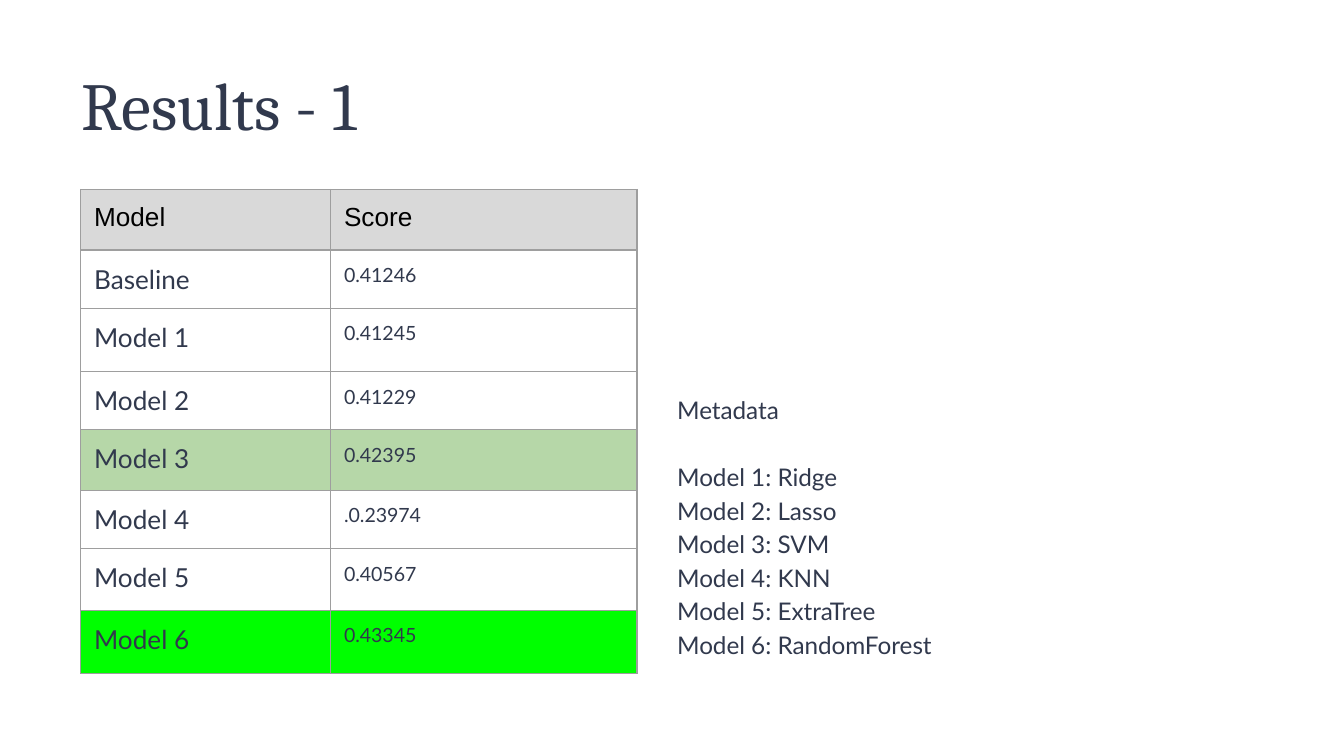
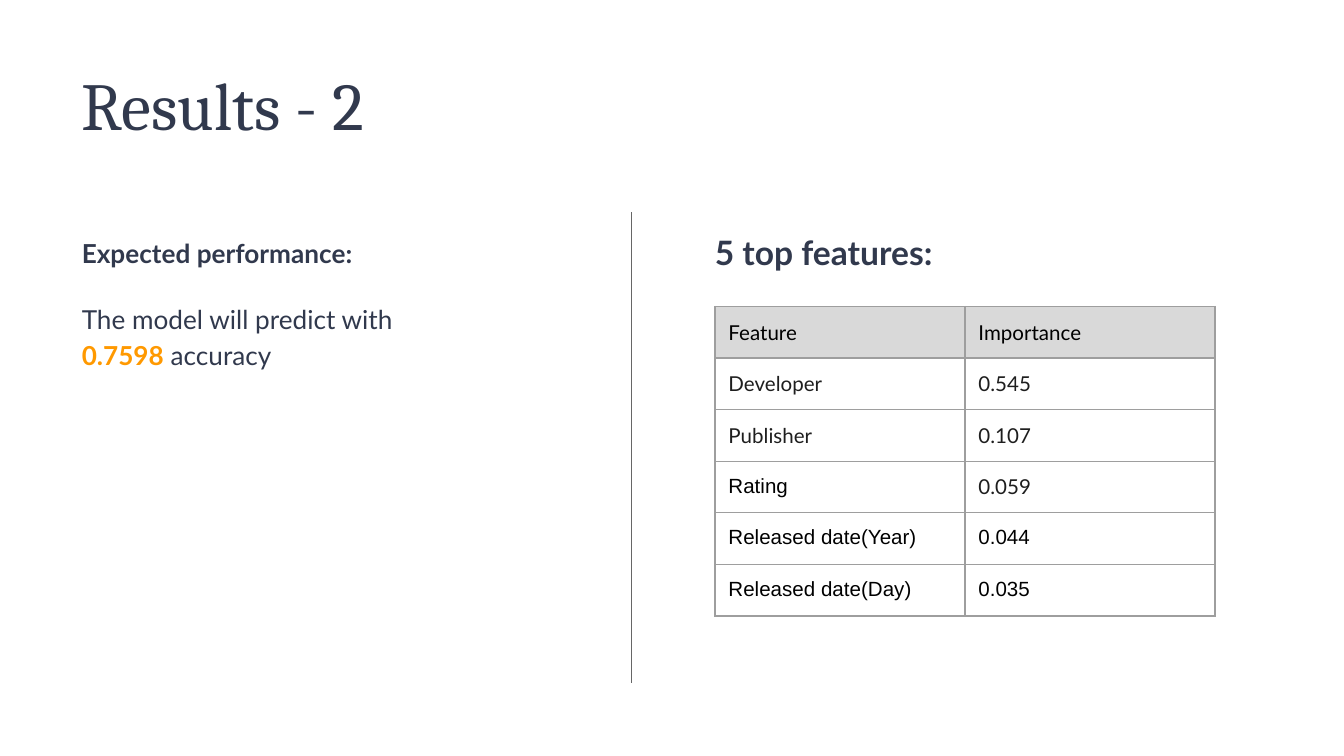
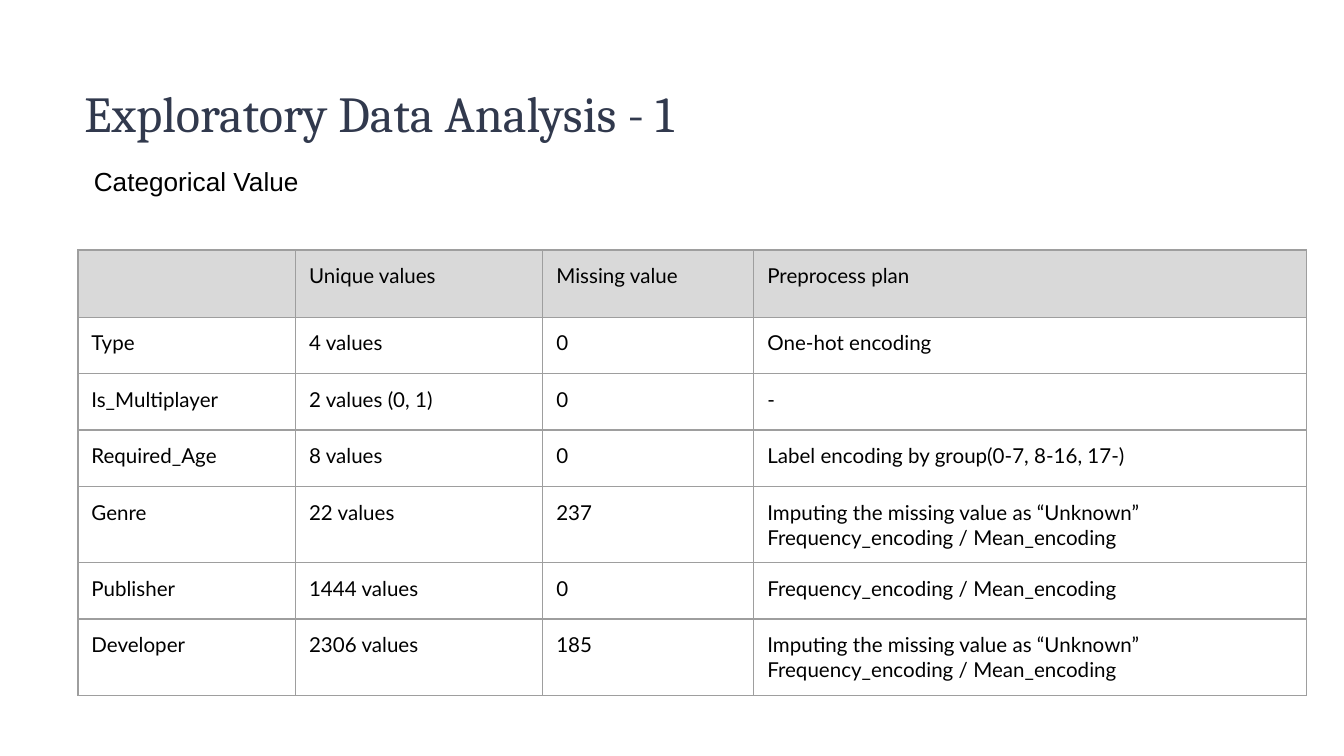
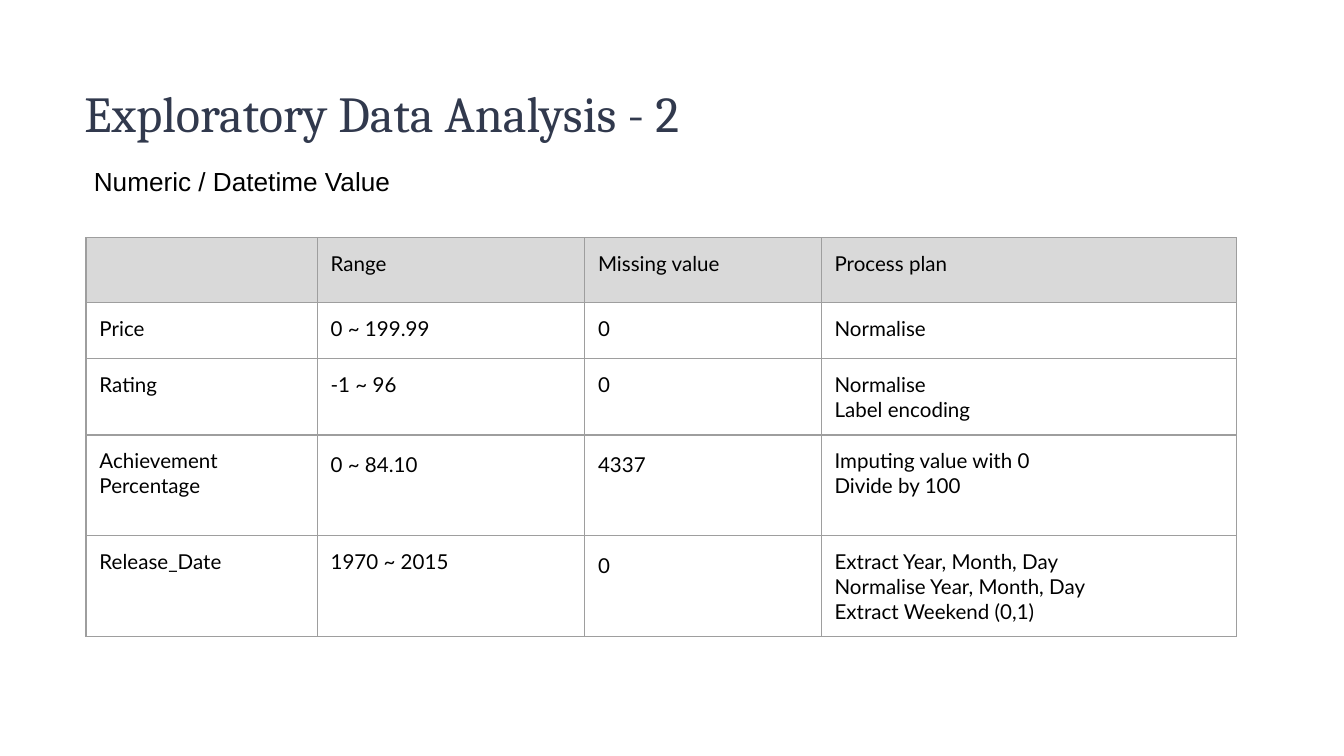
from dataclasses import dataclass
from itertools import cycle

from lxml import etree
from pptx import Presentation
from pptx.dml.color import RGBColor as Rgb
from pptx.enum.shapes import MSO_CONNECTOR as Link
from pptx.oxml.ns import qn
from pptx.util import Inches, Pt


# Theme: colours, fonts and type sizes
@dataclass(frozen=True)
class Theme:
    navy: str = "31394D"
    black: str = "000000"
    ink: str = "1E1E1E"
    orange: str = "FF9900"
    rule: str = "666666"
    edge: str = "9E9E9E"
    head: str = "D9D9D9"
    sage: str = "B6D7A8"
    lime: str = "00FF00"
    serif: str = "Cambria"
    sans: str = "Lato"
    plain: str = "Arial"
    large: float = 36
    title: float = 27
    lead: float = 18
    body: float = 14
    note: float = 13
    cell: float = 11
    score: float = 10.5
    line: float = 0.75
    pad: float = 0.1


T = Theme()


@dataclass(frozen=True)
class Pen:
    size: float
    font: str = T.sans
    color: str = T.navy
    bold: bool = False
    space: float = 1.0


@dataclass(frozen=True)
class Row:
    height: float
    texts: tuple[str, ...]
    pens: tuple[Pen, ...]
    fill: str = ""


@dataclass(frozen=True)
class Grid:
    left: float
    top: float
    cols: tuple[float, ...]
    rows: tuple[Row, ...]


@dataclass(frozen=True)
class Box:
    left: float
    top: float
    width: float
    height: float
    text: str
    pen: Pen


LARGE = Pen(T.large, T.serif)
TITLE = Pen(T.title, T.serif)
PLAIN = Pen(T.body, T.plain, T.black)
BODY = Pen(T.body, space=1.15)
BOLD = Pen(T.body, bold=True, space=1.15)
LEAD = Pen(T.lead, bold=True, space=1.15)
NOTE = Pen(T.note, space=1.15)
SCORE = (Pen(T.body), Pen(T.score))
CELL = Pen(T.cell, color=T.black)
LOOSE = Pen(T.cell, color=T.black, space=1.15)
DARK = Pen(T.cell, color=T.ink)
ARIAL = Pen(T.cell, T.plain, T.black)


# Drawing helpers
def style(run, pen: Pen) -> None:
    font = run.font
    font.size, font.name, font.bold = Pt(pen.size), pen.font, pen.bold
    font.color.rgb = Rgb.from_string(pen.color)


def write(frame, text: str, pen: Pen) -> None:
    frame.text = text
    for par in frame.paragraphs:
        par.line_spacing = pen.space
        for run in par.runs:
            style(run, pen)
        if not text:
            etree.SubElement(par._p, qn("a:endParaRPr"), sz=str(int(pen.size * 100)))


def add_box(slide, box: Box):
    shape = slide.shapes.add_textbox(
        Inches(box.left), Inches(box.top), Inches(box.width), Inches(box.height))
    frame = shape.text_frame
    frame.word_wrap = True
    frame.margin_left = frame.margin_right = Inches(T.pad)
    frame.margin_top = frame.margin_bottom = Inches(T.pad)
    write(frame, box.text, box.pen)
    return frame


def add_edges(cell) -> None:
    props = cell._tc.get_or_add_tcPr()
    for i, side in enumerate(("lnL", "lnR", "lnT", "lnB")):
        line = etree.Element(qn(f"a:{side}"), w=str(Pt(T.line)))
        fill = etree.SubElement(line, qn("a:solidFill"))
        etree.SubElement(fill, qn("a:srgbClr"), val=T.edge)
        props.insert(i, line)


def add_grid(slide, grid: Grid) -> None:
    table = slide.shapes.add_table(
        len(grid.rows), len(grid.cols), Inches(grid.left), Inches(grid.top),
        Inches(sum(grid.cols)), Inches(sum(r.height for r in grid.rows))).table
    table.first_row = table.horz_banding = False
    for col, width in zip(table.columns, grid.cols):
        col.width = Inches(width)
    for line, row in zip(table.rows, grid.rows):
        line.height = Inches(row.height)
        for cell, text, pen in zip(line.cells, row.texts, cycle(row.pens)):
            cell.margin_left = cell.margin_right = Inches(T.pad)
            cell.margin_top = cell.margin_bottom = Inches(T.pad)
            write(cell.text_frame, text, pen)
            if row.fill:
                cell.fill.solid()
                cell.fill.fore_color.rgb = Rgb.from_string(row.fill)
            else:
                cell.fill.background()
            add_edges(cell)


def add_rule(slide, x: float, top: float, end: float) -> None:
    rule = slide.shapes.add_connector(
        Link.STRAIGHT, Inches(x), Inches(top), Inches(x), Inches(end))
    rule.line.color.rgb = Rgb.from_string(T.rule)
    rule.line.width = Pt(T.line)
    etree.SubElement(rule._element.spPr, qn("a:effectLst"))


def add_page(deck):
    return deck.slides.add_slide(deck.slide_layouts[6])


def result_page(deck, title: str):
    slide = add_page(deck)
    add_box(slide, Box(0.51, 0.37, 5.68, 0.84, title, LARGE))
    return slide


def data_page(deck, title: str, topic: str, grid: Grid) -> None:
    slide = add_page(deck)
    add_box(slide, Box(0.53, 0.51, 5.68, 0.84, title, TITLE))
    add_box(slide, Box(0.6, 1.13, 3.1, 0.44, topic, PLAIN))
    add_grid(slide, grid)


# Table content
SCORES = Grid(0.6, 1.41, (1.86, 2.28), (
    Row(0.45, ("Model", "Score"), (PLAIN,), T.head),
    Row(0.39, ("Baseline", "0.41246"), SCORE),
    Row(0.47, ("Model 1", "0.41245"), SCORE),
    Row(0.43, ("Model 2", "0.41229"), SCORE),
    Row(0.45, ("Model 3", "0.42395"), SCORE, T.sage),
    Row(0.4, ("Model 4", ".0.23974"), SCORE),
    Row(0.46, ("Model 5", "0.40567"), SCORE),
    Row(0.47, ("Model 6", "0.43345"), SCORE, T.lime),
))

FEATURES = Grid(5.32, 2.28, (1.86, 1.86), (
    Row(0.21, ("Feature", "Importance"), (CELL,), T.head),
    Row(0.21, ("Developer", "0.545"), (DARK,)),
    Row(0.21, ("Publisher", "0.107"), (DARK,)),
    Row(0.21, ("Rating", "0.059"), (ARIAL, DARK)),
    Row(0.21, ("Released date(Year)", "0.044"), (ARIAL,)),
    Row(0.21, ("Released date(Day)", "0.035"), (ARIAL,)),
))

IMPUTE = "Imputing the missing value as “Unknown”"
ENCODE = "Frequency_encoding / Mean_encoding"

GROUPS = Grid(0.58, 1.86, (1.62, 1.84, 1.57, 4.11), (
    Row(0.5, ("", "Unique values", "Missing value", "Preprocess plan"),
        (CELL,), T.head),
    Row(0.42, ("Type", "4 values", "0", "One-hot encoding"), (CELL,)),
    Row(0.42, ("Is_Multiplayer", "2 values (0, 1)", "0", "-"), (CELL,)),
    Row(0.42, ("Required_Age", "8 values", "0",
               "Label encoding by group(0-7, 8-16, 17-)"), (CELL,)),
    Row(0.52, ("Genre", "22 values", "237", f"{IMPUTE}\v{ENCODE}"), (CELL,)),
    Row(0.42, ("Publisher", "1444 values", "0", ENCODE), (CELL,)),
    Row(0.52, ("Developer", "2306 values", "185", f"{IMPUTE}\n{ENCODE}"), (CELL,)),
))

RANGES = Grid(0.64, 1.77, (1.72, 1.99, 1.76, 3.09), (
    Row(0.48, ("", "Range", "Missing value", "Process plan"), (CELL,), T.head),
    Row(0.42, ("Price", "0 ~ 199.99", "0", "Normalise"), (CELL,)),
    Row(0.42, ("Rating", "-1 ~ 96", "0", "Normalise\vLabel encoding"), (CELL,)),
    Row(0.75, ("Achievement Percentage", "0 ~ 84.10", "4337",
               "Imputing value with 0\nDivide by 100"),
        (CELL, LOOSE, LOOSE, CELL)),
    Row(0.75, ("Release_Date", "1970 ~ 2015", "0",
               "Extract Year, Month, Day\nNormalise Year, Month, Day\n"
               "Extract Weekend (0,1)"),
        (CELL, CELL, LOOSE, CELL)),
))

MODELS = ("Ridge", "Lasso", "SVM", "KNN", "ExtraTree", "RandomForest")


# Slides
def score_slide(deck) -> None:
    slide = result_page(deck, "Results - 1")
    names = "\v".join(f"Model {i}: {name}" for i, name in enumerate(MODELS, 1))
    frame = add_box(slide, Box(4.94, 2.81, 3.18, 2.18, f"Metadata\n{names}", NOTE))
    frame.paragraphs[0].space_after = Pt(18)
    add_grid(slide, SCORES)


def feature_slide(deck) -> None:
    slide = result_page(deck, "Results - 2")
    frame = add_box(slide, Box(0.51, 1.63, 3.72, 1.2, "Expected performance:", BOLD))
    par = frame.add_paragraph()
    par.text = "The model will predict with\v"
    par.line_spacing, par.space_before = BODY.space, Pt(16)
    style(par.runs[0], BODY)
    accent = Pen(T.body, color=T.orange, bold=True)
    for text, pen in (("0.7598", accent), (" accuracy", BODY)):
        run = par.add_run()
        run.text = text
        style(run, pen)
    add_box(slide, Box(5.22, 1.58, 3.28, 0.5, "5 top features:", LEAD))
    add_rule(slide, 4.7, 1.58, 5.08)
    add_grid(slide, FEATURES)


def main() -> None:
    deck = Presentation()
    deck.slide_width = Inches(10)
    deck.slide_height = deck.slide_width * 9 // 16
    score_slide(deck)
    feature_slide(deck)
    data_page(deck, "Exploratory Data Analysis - 1", "Categorical Value", GROUPS)
    data_page(deck, "Exploratory Data Analysis - 2", "Numeric / Datetime Value", RANGES)
    deck.save("out.pptx")


if __name__ == "__main__":
    main()
